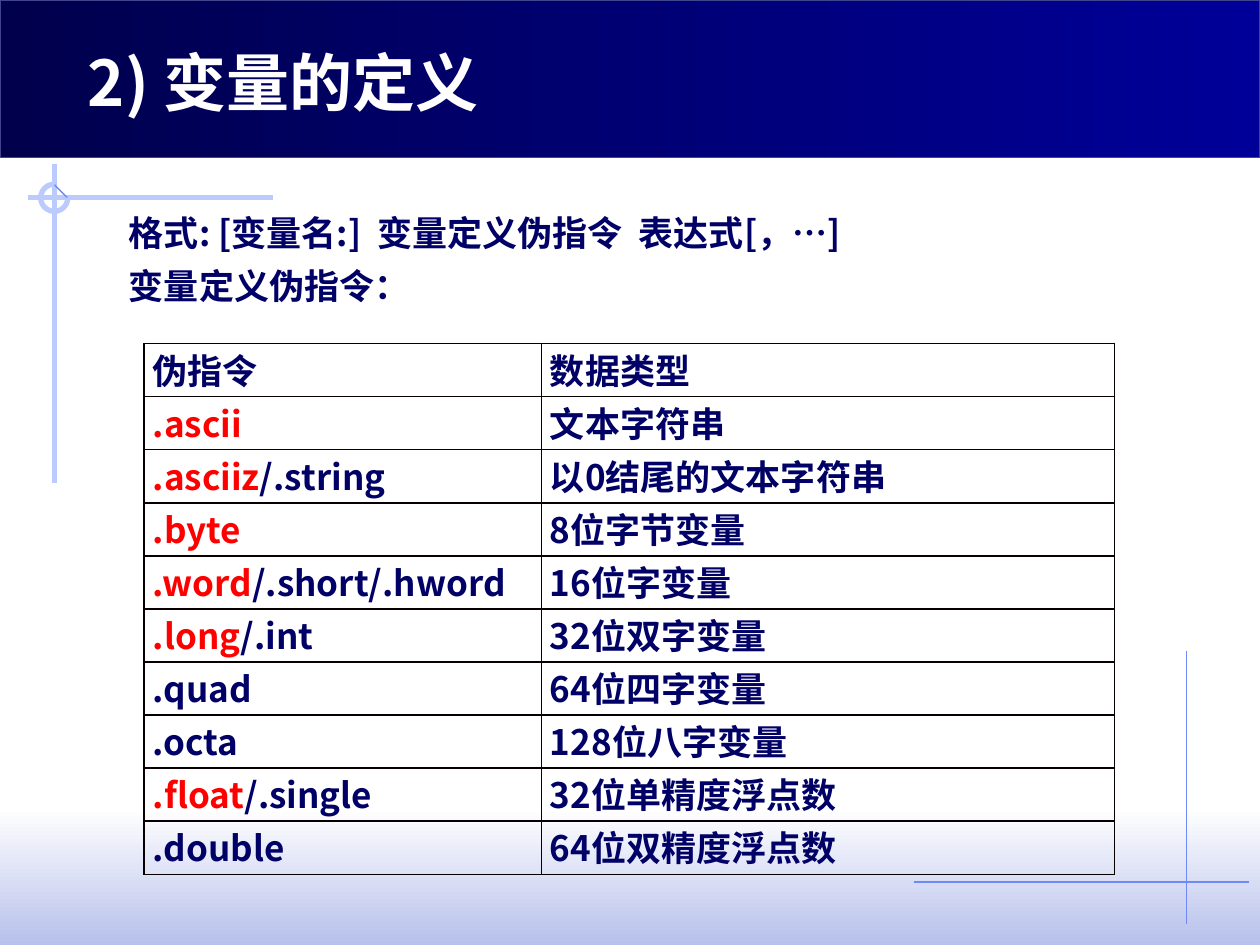
"""Build a slide on variable definition directives with a directive table."""
from lxml import etree
from pptx import Presentation
from pptx import util as u
from pptx.dml.color import RGBColor
from pptx.enum import shapes, text
from pptx.oxml import ns

NAVY, RED, WHITE = (RGBColor.from_string(c) for c in ("000066", "FF0000", "FFFFFF"))
BLACK = RGBColor(0x08, 0x00, 0x00)
DEEP, ROYAL = RGBColor(0x00, 0x00, 0x4D), RGBColor(0x00, 0x00, 0x99)
EDGE, MIST = RGBColor(0x40, 0x45, 0x8C), RGBColor(0xB7, 0xC1, 0xEB)
PALE, BLUE = RGBColor(0xBB, 0xCB, 0xFD), RGBColor(0x6F, 0x89, 0xF7)
TITLE_FONT, BODY_FONT = "Noto Sans CJK JP", "Noto Sans CJK SC"

TITLE = "2) 变量的定义"
BODY = ["格式: [变量名:]  变量定义伪指令  表达式[，…]", "变量定义伪指令："]
ROWS = [
    ("", "伪指令", "数据类型"),
    (".ascii", "", "文本字符串"),
    (".asciiz", "/.string", "以0结尾的文本字符串"),
    (".byte", "", "8位字节变量"),
    (".word", "/.short/.hword", "16位字变量"),
    (".long", "/.int", "32位双字变量"),
    ("", ".quad", "64位四字变量"),
    ("", ".octa", "128位八字变量"),
    (".float", "/.single", "32位单精度浮点数"),
    ("", ".double", "64位双精度浮点数"),
]
BANDS = [
    ((0, 462, 720, 78), WHITE, MIST, 270, None),
    ((0, 0, 720, 90), DEEP, ROYAL, 0, EDGE),
]
LINES = [
    ((678, 372, 678, 528), BLUE, 0.75),
    ((156, 113, 16, 113), PALE, 3),
    ((31, 93.5, 31, 276), PALE, 3),
    ((31, 105.5, 38.5, 113), BLUE, 0.75),
    ((522, 504, 714, 504), BLUE, 0.75),
]
RING = (23.25, 105.25, 15.5, 15.5)
TITLE_BOX, BODY_BOX = (43, 21, 585, 51), (37, 111.5, 613, 74)
TABLE_AT, COL_WIDTHS, ROW_HEIGHT = (82.3, 196.3), (227, 327.5), 30.35


def pts(values):
    return [u.Pt(v) for v in values]


def style(r, size, font, color):
    r.font.size, r.font.name, r.font.bold = u.Pt(size), font, True
    r.font.color.rgb = color
    etree.SubElement(r.font._element, ns.qn("a:ea"), typeface=font)


def place(sp, box):
    sp.left, sp.top, sp.width, sp.height = pts(box)
    sp.text_frame.auto_size = text.MSO_AUTO_SIZE.NONE
    sp.text_frame.word_wrap = True


def add_band(s, box, start, end, angle, edge):
    sp = s.shapes.add_shape(shapes.MSO_SHAPE.RECTANGLE, *pts(box))
    sp.shadow.inherit = False
    sp.fill.gradient()
    sp.fill.gradient_angle = angle
    for stop, color in zip(sp.fill.gradient_stops, (start, end)):
        stop.color.rgb = color
    if edge is None:
        sp.line.fill.background()
    else:
        sp.line.color.rgb, sp.line.width = edge, u.Pt(0.75)


def add_line(s, ends, color, width):
    sp = s.shapes.add_connector(shapes.MSO_CONNECTOR.STRAIGHT, *pts(ends))
    sp.line.color.rgb, sp.line.width = color, u.Pt(width)
    etree.SubElement(sp.element.spPr, ns.qn("a:effectLst"))


def add_ring(s):
    sp = s.shapes.add_shape(shapes.MSO_SHAPE.ARC, *pts(RING))
    sp.adjustments[0], sp.adjustments[1] = 0, 162
    sp.shadow.inherit = False
    sp.fill.background()
    sp.line.color.rgb, sp.line.width = PALE, u.Pt(3)


def fill_text(s):
    title, body = s.shapes.title, s.placeholders[1]
    place(title, TITLE_BOX)
    title.text_frame.text = TITLE
    title.text_frame.vertical_anchor = text.MSO_ANCHOR.MIDDLE
    p = title.text_frame.paragraphs[0]
    p.alignment = text.PP_ALIGN.LEFT
    style(p.runs[0], 36, TITLE_FONT, WHITE)
    place(body, BODY_BOX)
    body.text_frame.text = "\n".join(BODY)
    for p in body.text_frame.paragraphs:
        p.line_spacing, p.space_before = 1.25, u.Pt(0)
        pPr = p._p.get_or_add_pPr()
        pPr.set("marL", str(u.Pt(29.5)))
        pPr.set("indent", "0")
        etree.SubElement(pPr, ns.qn("a:buNone"))
        style(p.runs[0], 20, BODY_FONT, NAVY)
    for sp in (title, body):
        sp.element.getparent().append(sp.element)


def fill_cell(cell, parts):
    cell.margin_left = cell.margin_right = u.Pt(5)
    cell.margin_top = cell.margin_bottom = 0
    p = cell.text_frame.paragraphs[0]
    for content, color in parts:
        if content:
            r = p.add_run()
            r.text = content
            style(r, 20, BODY_FONT, color)
    tcPr = cell._tc.get_or_add_tcPr()
    for side in ("lnL", "lnR", "lnT", "lnB"):
        ln = etree.SubElement(tcPr, ns.qn(f"a:{side}"), w=str(u.Pt(1)))
        solid = etree.SubElement(ln, ns.qn("a:solidFill"))
        etree.SubElement(solid, ns.qn("a:srgbClr"), val=str(BLACK))
    cell.fill.background()


def add_directives(s):
    size = (sum(COL_WIDTHS), ROW_HEIGHT * len(ROWS))
    table = s.shapes.add_table(len(ROWS), len(COL_WIDTHS), *pts(TABLE_AT + size)).table
    table.first_row = table.horz_banding = False
    for col, width in zip(table.columns, COL_WIDTHS):
        col.width = u.Pt(width)
    for i, (key, rest, kind) in enumerate(ROWS):
        table.rows[i].height = u.Pt(ROW_HEIGHT)
        fill_cell(table.cell(i, 0), [(key, RED), (rest, NAVY)])
        fill_cell(table.cell(i, 1), [(kind, NAVY)])


def main():
    prs = Presentation()
    prs.slide_width, prs.slide_height = pts((720, 540))
    s = prs.slides.add_slide(prs.slide_layouts[1])
    for band in BANDS:
        add_band(s, *band)
    for line in LINES:
        add_line(s, *line)
    add_ring(s)
    fill_text(s)
    add_directives(s)
    prs.save("out.pptx")


if __name__ == "__main__":
    main()
